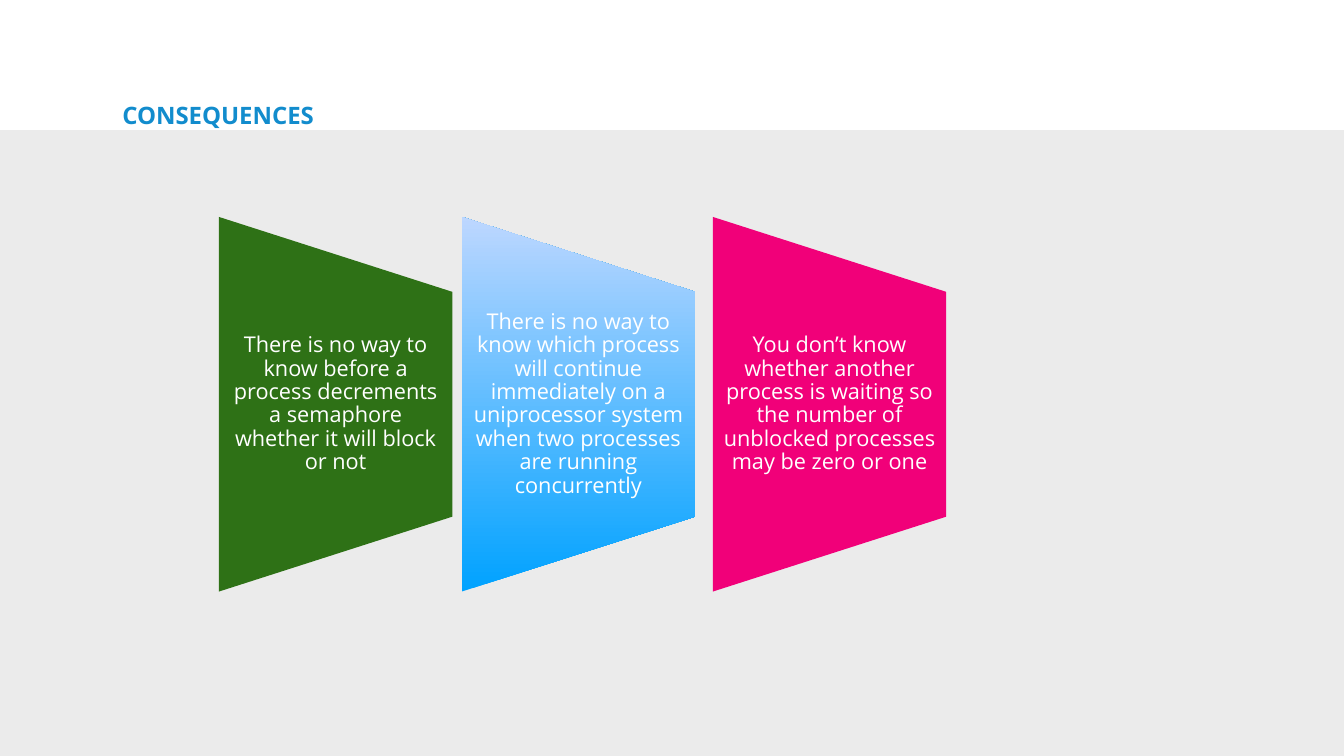
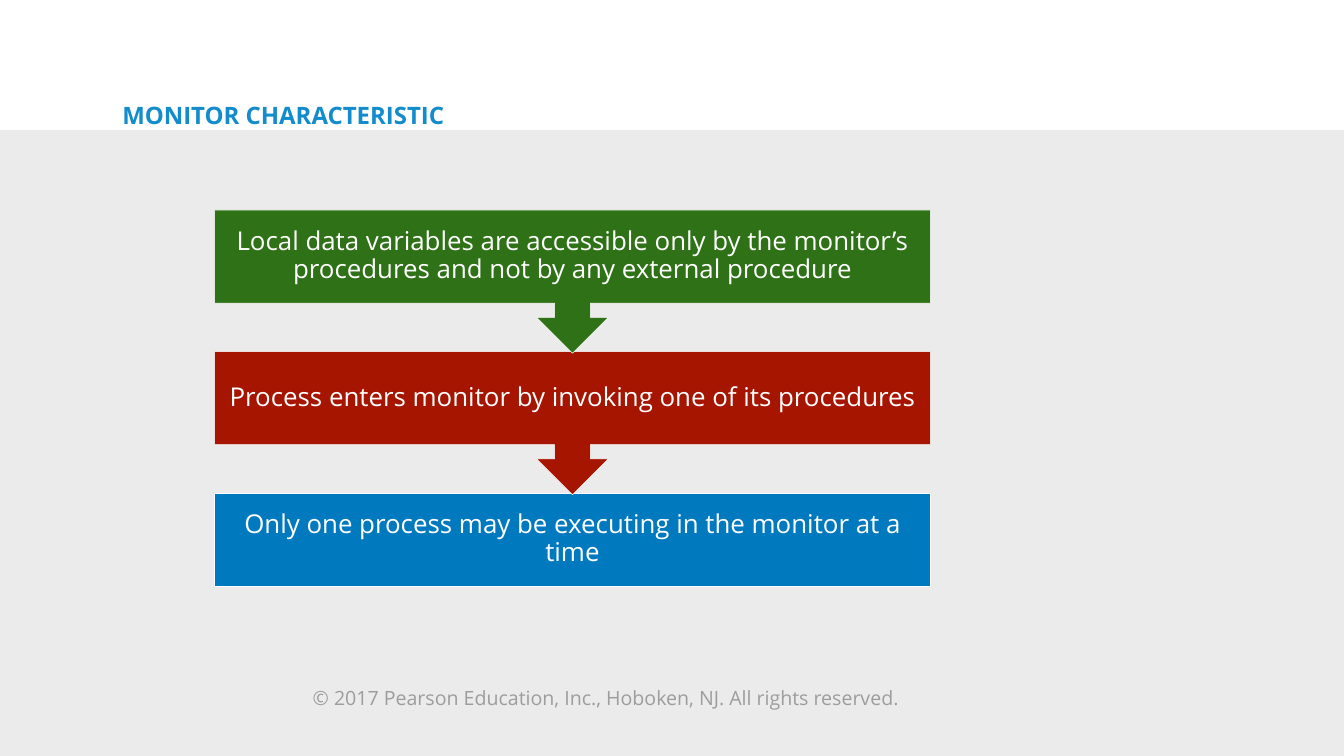
from pptx import Presentation
from pptx.dml.color import RGBColor
from pptx.enum.shapes import MSO_SHAPE as Geo
from pptx.enum.text import MSO_ANCHOR as Anchor, PP_ALIGN as Align
from pptx.oxml.ns import qn
from pptx.util import Inches, Pt

# Shared style
FONT = "Open Sans"
WHITE, BAND, TITLE, GREY = "FFFFFF", "EBEBEB", "128CCD", "9D9D9D"
GREEN, RED, BLUE, PINK = "2E7116", "A61500", "0079BF", "F10079"
SKY = ("00A2FF", "BDD7FF")
COLS, ROWS = 32, 18


def tint(code):
    return RGBColor.from_string(code)


class Deck:
    """Holds the style and the current slide; lengths are grid units."""

    def __init__(self):
        self.prs = Presentation()
        self.prs.slide_width, self.prs.slide_height = Inches(26.67), Inches(15)
        self.col = self.prs.slide_width / COLS
        self.row = self.prs.slide_height / ROWS
        self.slide = None

    def place(self, x, y, w, h):
        return (round(x * self.col), round(y * self.row),
                round(w * self.col), round(h * self.row))

    def page(self, title):
        self.slide = self.prs.slides.add_slide(self.prs.slide_layouts[6])
        self.shape(Geo.RECTANGLE, (0, 3.1, COLS, ROWS - 3.1), BAND)
        self.text(title, (2.84, 2.46, 19.31, 0.67), 34.2, TITLE, bold=True,
                  align=Align.LEFT, anchor=Anchor.TOP, pad=(0.06, 0.06), gap=0.8)

    def shape(self, geo, box, fill, line=None, turn=0):
        item = self.slide.shapes.add_shape(geo, *self.place(*box))
        item.shadow.inherit = False
        item.rotation = turn
        if isinstance(fill, tuple):
            self.fade(item, fill)
        else:
            item.fill.solid()
            item.fill.fore_color.rgb = tint(fill)
        if line:
            item.line.color.rgb = tint(line)
            item.line.width = Pt(0.75)
        else:
            item.line.fill.background()
        return item

    def fade(self, item, pair):
        # Upright gradient, first colour at the bottom
        item.fill.gradient()
        item.fill.gradient_angle = 90
        for stop, code in zip(item.fill.gradient_stops, pair):
            stop.color.rgb = tint(code)
        item._element.spPr.find(qn("a:gradFill")).set("rotWithShape", "0")

    def text(self, words, box, size, color=WHITE, bold=False, align=Align.CENTER,
             anchor=Anchor.MIDDLE, pad=(0.1, 0.05), gap=0.9):
        frame = self.slide.shapes.add_textbox(*self.place(*box)).text_frame
        frame.word_wrap = True
        frame.vertical_anchor = anchor
        frame.margin_left = frame.margin_right = Inches(pad[0])
        frame.margin_top = frame.margin_bottom = Inches(pad[1])
        para = frame.paragraphs[0]
        para.alignment, para.line_spacing = align, gap
        run = para.add_run()
        run.text = words
        run.font.name, run.font.size, run.font.bold = FONT, Pt(size), bold
        run.font.color.rgb = tint(color)

    def wedge(self, words, x, fill):
        # Turned on its side, so its long edge stands at the left
        top, wide, high, long = 6.95, 5.56, 5.35, 8.92
        mid_x, mid_y = x + wide / 2, top + high / 2
        self.shape(Geo.FLOWCHART_MANUAL_OPERATION,
                   (mid_x - long / 2, mid_y - wide / 2, long, wide), fill, turn=270)
        self.text(words, (x, top, wide, high), 31, pad=(0.22, 0))

    def step(self, words, y, fill, last):
        x, wide, high, full = 5.11, 17.04, 2.21, 3.41
        if last:
            self.shape(Geo.RECTANGLE, (x, y, wide, high), fill, WHITE)
        else:
            self.shape(Geo.UP_ARROW_CALLOUT, (x, y, wide, full), fill, WHITE, 180)
        self.text(words, (x, y, wide, high), 37, pad=(0.29, 0.29))


def main():
    deck = Deck()

    # Consequences
    deck.page("CONSEQUENCES")
    for words, x, fill in (
        ("There is no way to know before a process decrements a semaphore "
         "whether it will block or not", 5.21, GREEN),
        ("There is no way to know which process will continue immediately on a "
         "uniprocessor system when two processes are running concurrently", 10.99, SKY),
        ("You don’t know whether another process is waiting so the number of "
         "unblocked processes may be zero or one", 16.97, PINK),
    ):
        deck.wedge(words, x, fill)

    # Monitor steps, laid from the bottom up so each arrow overlaps the next box
    deck.page("MONITOR CHARACTERISTIC")
    deck.text("© 2017 Pearson Education, Inc., Hoboken, NJ. All rights reserved.",
              (1.9, 15.96, 25.04, 1.31), 28, GREY, gap=1.0)
    steps = (
        ("Local data variables are accessible only by the monitor’s procedures "
         "and not by any external procedure", GREEN),
        ("Process enters monitor by invoking one of its procedures", RED),
        ("Only one process may be executing in the monitor at a time", BLUE),
    )
    for i, (words, fill) in reversed(list(enumerate(steps))):
        deck.step(words, 5 + 3.37 * i, fill, last=i == len(steps) - 1)

    deck.prs.save("out.pptx")


if __name__ == "__main__":
    main()
